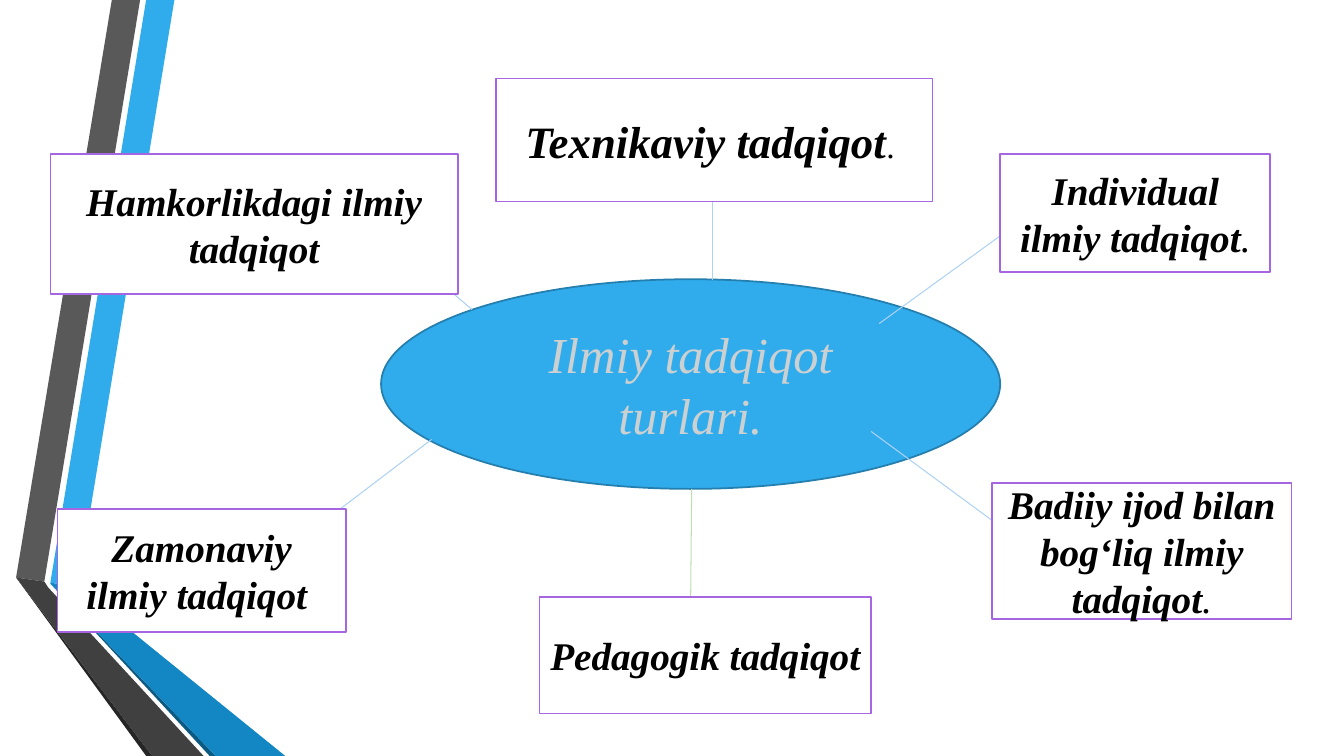
from dataclasses import dataclass

import pptx
import pptx.dml.color
import pptx.enum.shapes
import pptx.enum.text
import pptx.oxml
import pptx.oxml.ns
import pptx.util

Inches = pptx.util.Inches
Point = tuple[float, float]

FONT = "Times New Roman"
COLORS = {
    "blue": "30ACEC",
    "blue_fold": "1287C3",
    "blue_edge": "0C5A82",
    "blue_outline": "247FAF",
    "gray": "595959",
    "gray_fold": "404040",
    "gray_edge": "262626",
    "purple": "A666E1",
    "pale_blue": "AED2F4",
    "pale_green": "C0DEB3",
    "pale_gray": "CDD0D1",
    "white": "FFFFFF",
    "black": "000000",
}


@dataclass(frozen=True)
class Band:
    color: str
    points: list[Point]


@dataclass(frozen=True)
class Link:
    start: Point
    end: Point
    color: str = "pale_blue"


@dataclass(frozen=True)
class Topic:
    left: float
    top: float
    width: float
    height: float
    text: str
    size: int = 28
    ending: str = ""
    ending_size: int = 28
    ending_italic: bool = True


BANDS = [
    Band("blue", [(0.5, 5.78), (0.77, 5.83), (1.73, 0), (1.45, 0)]),
    Band("gray", [(1.39, 0), (1.11, 0), (0.16, 5.73), (0.44, 5.77)]),
    Band("gray_edge", [(0.16, 5.73), (1.45, 7.5), (1.51, 7.5)]),
    Band("blue_edge", [(0.5, 5.79), (2.08, 7.5), (2.14, 7.5)]),
    Band("blue_fold", [(0.5, 5.79), (2.14, 7.5), (2.83, 7.5), (0.77, 5.83), (0.5, 5.78)]),
    Band("gray_fold", [(2.02, 7.5), (0.48, 5.83), (0.44, 5.77), (0.16, 5.73), (1.51, 7.5)]),
]

LINKS = [
    Link((8.72, 3.21), (9.99, 2.29)),
    Link((4.68, 3.07), (3.43, 2)),
    Link((8.64, 4.28), (10.57, 5.7)),
    Link((6.86, 4.85), (6.85, 5.97), "pale_green"),
    Link((4.28, 4.36), (2.69, 5.57)),
    Link((7.07, 2.78), (7.07, 1.81)),
]

TOPICS = [
    Topic(0.5, 1.53, 4.04, 1.39, "Hamkorlikdagi ilmiy tadqiqot"),
    Topic(4.92, 0.78, 4.33, 1.22, "Texnikaviy tadqiqot", 32, ". ", 24, False),
    Topic(9.84, 4.79, 2.97, 1.35, "Badiiy ijod bilan bog‘liq ilmiy tadqiqot", ending="."),
    Topic(5.35, 5.92, 3.29, 1.16, "Pedagogik tadqiqot "),
    Topic(0.57, 5.05, 2.86, 1.22, "Zamonaviy ilmiy tadqiqot "),
    Topic(9.92, 1.53, 2.68, 1.17, "Individual ilmiy tadqiqot", ending="."),
]


def rgb(name: str) -> pptx.dml.color.RGBColor:
    return pptx.dml.color.RGBColor.from_string(COLORS[name])


def paint(sp, fill: str, line: str | None = None) -> None:
    """Give a shape a flat fill and either an outline or none."""
    sp.shadow.inherit = False
    sp.fill.solid()
    sp.fill.fore_color.rgb = rgb(fill)
    if line is None:
        sp.line.fill.background()
    else:
        sp.line.color.rgb = rgb(line)
        sp.line.width = pptx.util.Pt(1.25)


def write_centered(sp, text: str, size: int, color: str, bold: bool):
    """Set the shape's italic text and return its paragraph."""
    tf = sp.text_frame
    tf.word_wrap = True
    tf.vertical_anchor = pptx.enum.text.MSO_ANCHOR.MIDDLE
    p = tf.paragraphs[0]
    p.alignment = pptx.enum.text.PP_ALIGN.CENTER
    p.font.name = FONT
    p.font.size = pptx.util.Pt(size)
    p.font.bold = bold
    p.font.italic = True
    p.font.color.rgb = rgb(color)
    add_run(p, text, size, color, bold, True)
    return p


def add_run(p, text: str, size: int, color: str, bold: bool, italic: bool) -> None:
    r = p.add_run()
    r.text = text
    r.font.name = FONT
    r.font.size = pptx.util.Pt(size)
    r.font.bold = bold
    r.font.italic = italic
    r.font.color.rgb = rgb(color)


def add_band(shapes, band: Band) -> None:
    points = [(Inches(x), Inches(y)) for x, y in band.points]
    builder = shapes.build_freeform(*points[0])
    builder.add_line_segments(points[1:], close=True)
    paint(builder.convert_to_shape(), band.color)


def add_link(shapes, link: Link) -> None:
    ends = [Inches(v) for v in (*link.start, *link.end)]
    line = shapes.add_connector(pptx.enum.shapes.MSO_CONNECTOR.STRAIGHT, *ends)
    line.line.color.rgb = rgb(link.color)
    line.line.width = pptx.util.Pt(0.75)
    effects = pptx.oxml.parse_xml(f"<a:effectLst {pptx.oxml.ns.nsdecls('a')}/>")
    line._element.spPr.append(effects)


def add_hub(shapes) -> None:
    box = [Inches(v) for v in (3.78, 2.77, 6.14, 2.08)]
    sp = shapes.add_shape(pptx.enum.shapes.MSO_SHAPE.OVAL, *box)
    paint(sp, "blue", "blue_outline")
    write_centered(sp, "Ilmiy tadqiqot turlari.", 36, "pale_gray", False)


def add_topic(shapes, topic: Topic) -> None:
    box = [Inches(v) for v in (topic.left, topic.top, topic.width, topic.height)]
    sp = shapes.add_shape(pptx.enum.shapes.MSO_SHAPE.RECTANGLE, *box)
    paint(sp, "white", "purple")
    p = write_centered(sp, topic.text, topic.size, "black", True)
    if topic.ending:
        add_run(p, topic.ending, topic.ending_size, "black", False, topic.ending_italic)


def main() -> None:
    prs = pptx.Presentation()
    prs.slide_width, prs.slide_height = Inches(13.33), Inches(7.5)
    blank_layout = prs.slide_layouts[6]
    shapes = prs.slides.add_slide(blank_layout).shapes
    for band in BANDS:
        add_band(shapes, band)
    add_hub(shapes)
    for link in LINKS:
        add_link(shapes, link)
    for topic in TOPICS:
        add_topic(shapes, topic)
    prs.save("out.pptx")


if __name__ == "__main__":
    main()
